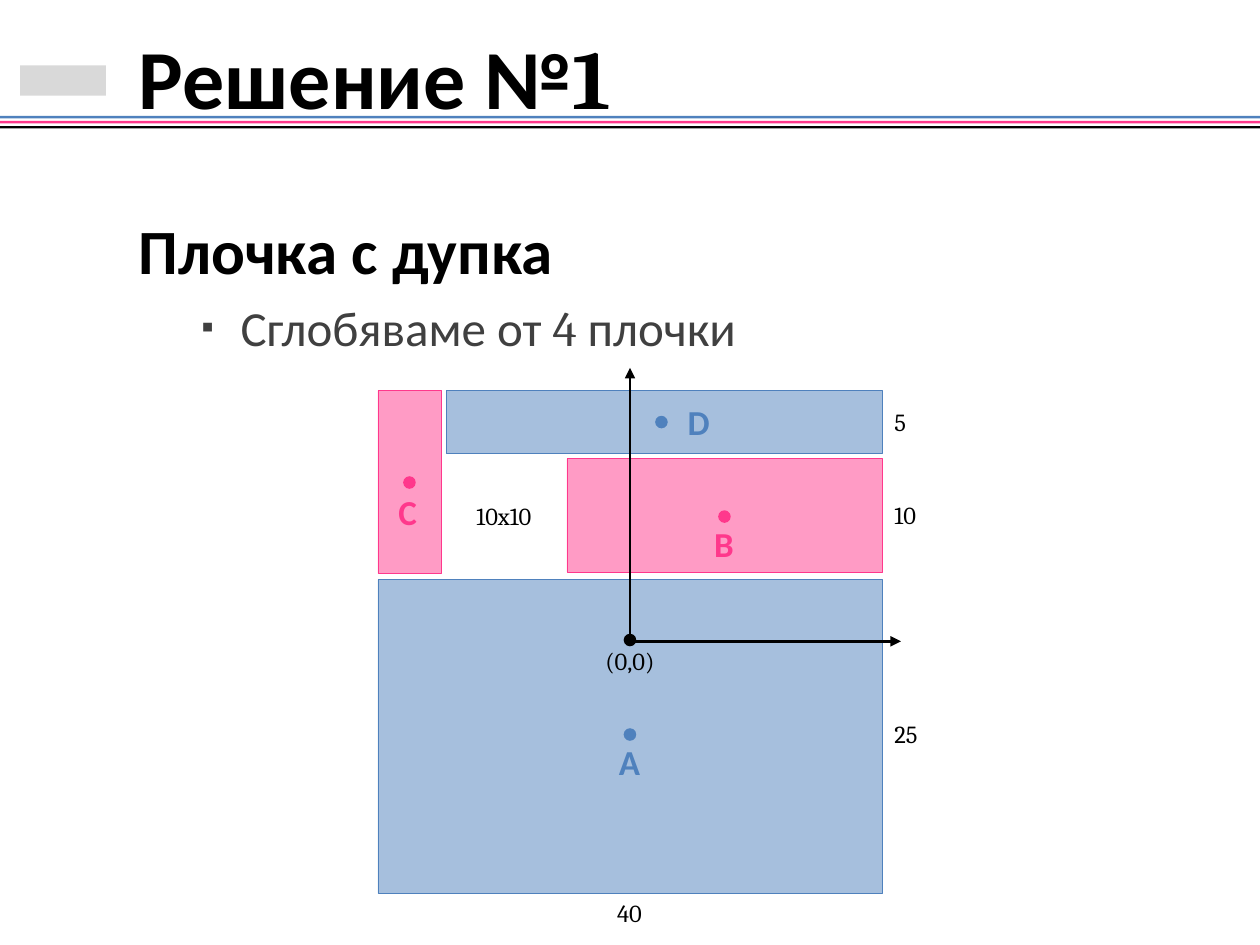
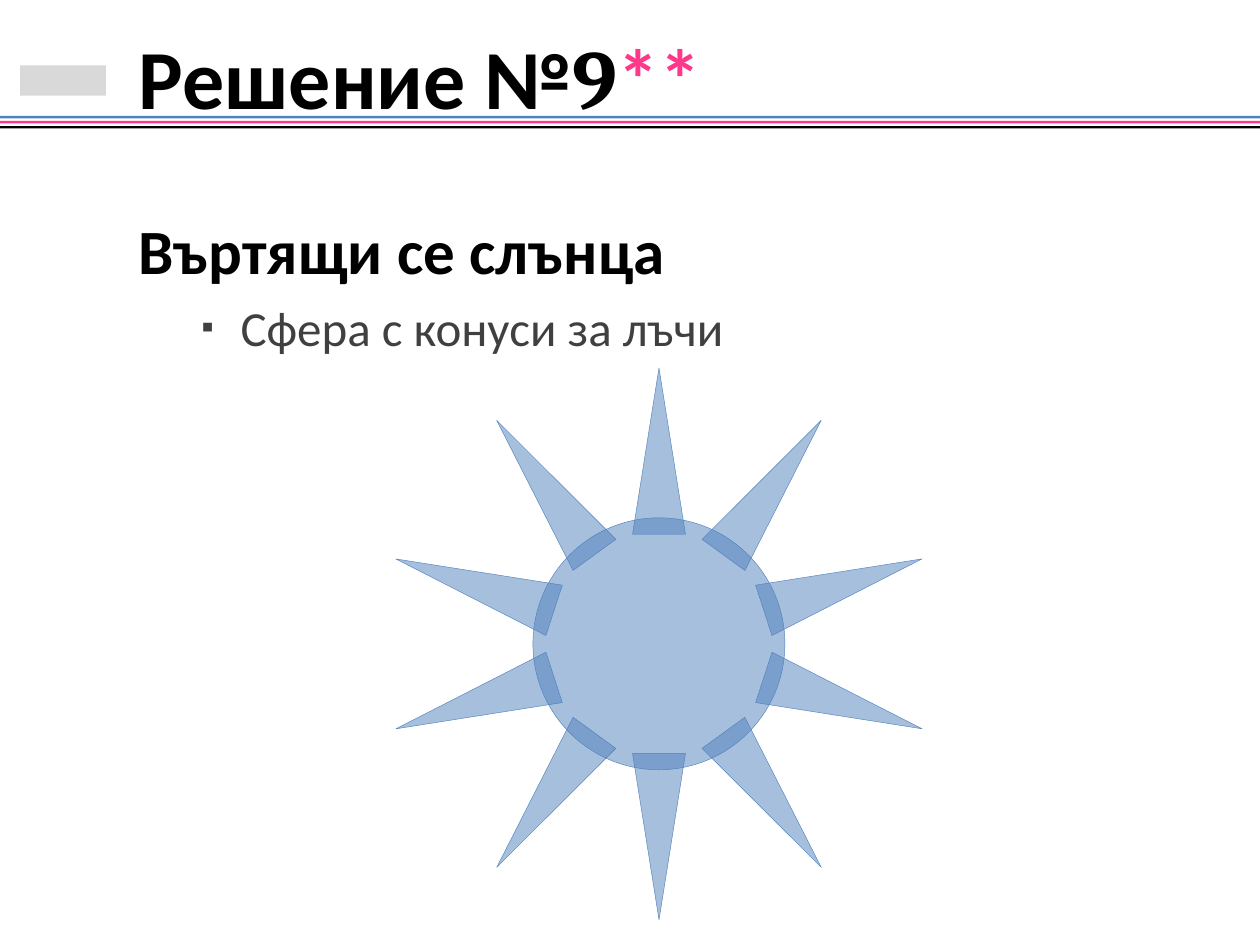
from math import cos, radians, sin

from lxml import etree
from pptx import Presentation
from pptx.dml.color import RGBColor
from pptx.enum.shapes import MSO_CONNECTOR, MSO_SHAPE
from pptx.enum.text import MSO_ANCHOR, MSO_AUTO_SIZE, PP_ALIGN
from pptx.oxml.ns import qn
from pptx.util import Pt

PX = 9144  # EMU in one px, 100 px to the inch
RECT, OVAL, CONE = MSO_SHAPE.RECTANGLE, MSO_SHAPE.OVAL, MSO_SHAPE.ISOSCELES_TRIANGLE
LINE = MSO_CONNECTOR.STRAIGHT
LEFT, CENTER = PP_ALIGN.LEFT, PP_ALIGN.CENTER
MIDDLE, TOP = MSO_ANCHOR.MIDDLE, MSO_ANCHOR.TOP
FIXED = MSO_AUTO_SIZE.NONE
SANS, SERIF = "Calibri", "Cambria"
COLORS = {"blue": "4F81BD", "pink": "FF388C", "black": "000000",
          "gray": "404040", "pale": "D9D9D9"}
RGB = {name: RGBColor.from_string(code) for name, code in COLORS.items()}


def draw(shapes, kind, box, color, glass=False):
    """Add a plain shape, or a half-transparent one with a thin outline."""
    shape = shapes.add_shape(kind, *[round(n) * PX for n in box])
    shape.shadow.inherit = False
    shape.fill.solid()
    shape.fill.fore_color.rgb = RGB[color]
    if glass:
        tint = shape.fill._xPr.find(".//" + qn("a:srgbClr"))
        etree.SubElement(tint, qn("a:alpha"), val="50000")
        shape.line.color.rgb = RGB[color]
        shape.line.width = Pt(0.25)
    else:
        shape.line.fill.background()
    return shape


def write(par, parts, size, bold=False, align=LEFT):
    """Fill a paragraph with (text, font, color) runs."""
    par.alignment = align
    for text, face, color in parts:
        run = par.add_run()
        run.text = text
        run.font.name = face
        run.font.size = Pt(size)
        run.font.bold = bold
        run.font.color.rgb = RGB[color]


deck = Presentation()
deck.slide_width, deck.slide_height = 1000 * PX, 750 * PX

# Wording: title runs, heading, bullet runs
pages = [
    ([("Решение №", SANS, "black"), ("1", SERIF, "black")],
     "Плочка с дупка",
     [("Сглобяваме от ", SANS, "gray"), ("4", SERIF, "gray"), (" плочки", SANS, "gray")]),
    ([("Решение №", SANS, "black"), ("9", SERIF, "black"), ("**", SANS, "pink")],
     "Въртящи се слънца",
     [("Сфера с конуси за лъчи", SANS, "gray")]),
]

# Shared frame, title and list
for heads, topic, points in pages:
    slide = deck.slides.add_slide(deck.slide_layouts[1])
    title, body = slide.placeholders
    for holder, box, anchor in [(title, (0, 25, 1000, 71), MIDDLE),
                                (body, (100, 133, 892, 608), TOP)]:
        holder.left, holder.top, holder.width, holder.height = [n * PX for n in box]
        holder.text_frame.auto_size = FIXED
        holder.text_frame.vertical_anchor = anchor

    par = title.text_frame.paragraphs[0]
    par._p.get_or_add_pPr().set("marL", str(100 * PX))
    write(par, heads, 48, True)

    par = body.text_frame.paragraphs[0]
    props = par._p.get_or_add_pPr()
    props.set("marL", "0")
    props.set("indent", "0")
    etree.SubElement(props, qn("a:buNone"))
    par.line_spacing = 1.5
    par.space_before = Pt(0)
    write(par, [(topic, SANS, "black")], 36, True)

    par = body.text_frame.add_paragraph()
    par.level = 1
    props = par._p.get_or_add_pPr()
    props.set("marL", str(81 * PX))
    props.set("indent", str(-31 * PX))
    tint = etree.SubElement(props, qn("a:buClr"))
    etree.SubElement(tint, qn("a:srgbClr"), val=COLORS["gray"])
    etree.SubElement(props, qn("a:buSzPct"), val="70000")
    etree.SubElement(props, qn("a:buFont"), typeface=SANS)
    etree.SubElement(props, qn("a:buChar"), char="▪")
    par.space_before = Pt(5.6)
    write(par, points, 28)

    # Badge and three bands
    draw(slide.shapes, RECT, (16, 52, 68, 24), "pale")
    for row, color in enumerate(["blue", "pink", "black"]):
        draw(slide.shapes, RECT, (0, 92 + 4 * row, 1000, 2), color)

# Slide 1: tiles around the hole
shapes = deck.slides[0].shapes
tiles = [  # letter, color, tile, dot corner, letter corner
    ("А", "blue", (300, 460, 400, 249), (495, 578), (477, 583)),
    ("C", "pink", (300, 310, 50, 145), (320, 378), (301, 384)),
    ("D", "blue", (354, 310, 346, 50), (520, 330), (532, 313)),
    ("B", "pink", (450, 364, 250, 90), (570, 405), (552, 410)),
]
for _, color, tile, _, _ in tiles:
    draw(shapes, RECT, tile, color, True)
for _, color, _, dot, _ in tiles:
    draw(shapes, OVAL, (*dot, 10, 10), color)

# Axes and origin
for end in [(500, 292), (715, 509)]:
    axis = shapes.add_connector(LINE, 500 * PX, 509 * PX, *[n * PX for n in end])
    axis.line.color.rgb = RGB["black"]
    axis.line.width = Pt(1.5)
    etree.SubElement(axis.line._get_or_add_ln(), qn("a:tailEnd"), type="triangle")
    etree.SubElement(axis._element.spPr, qn("a:effectLst"))
draw(shapes, OVAL, (495, 503, 10, 10), "black")

# Sizes and letters
labels = [(text, (x, y, wide, 34), SERIF, "black", 14, align)
          for text, x, y, wide, align in [
              ("40", 477, 708, 45, CENTER), ("5", 700, 318, 45, LEFT),
              ("10", 700, 392, 45, LEFT), ("25", 700, 566, 45, LEFT),
              ("(0,0)", 463, 508, 74, CENTER), ("10x10", 358, 393, 84, CENTER)]]
labels += [(text, (*spot, 45, 44), SANS, color, 20, CENTER)
           for text, color, _, _, spot in tiles]
for text, box, face, color, size, align in labels:
    frame = shapes.add_textbox(*[n * PX for n in box]).text_frame
    frame.word_wrap = True
    write(frame.paragraphs[0], [(text, face, color)], size, face == SANS, align)

# Slide 2: sun with ten rays
sun = deck.slides[1].shapes.add_group_shape().shapes
mid_x, mid_y, reach = 523, 511, 153
wide, high = 42, 132
draw(sun, OVAL, (mid_x - 100, mid_y - 100, 200, 200), "blue", True)
for turn in range(0, 360, 36):
    x = mid_x + reach * sin(radians(turn))
    y = mid_y - reach * cos(radians(turn))
    ray = draw(sun, CONE, (x - wide / 2, y - high / 2, wide, high), "blue", True)
    ray.rotation = turn

deck.save("out.pptx")
